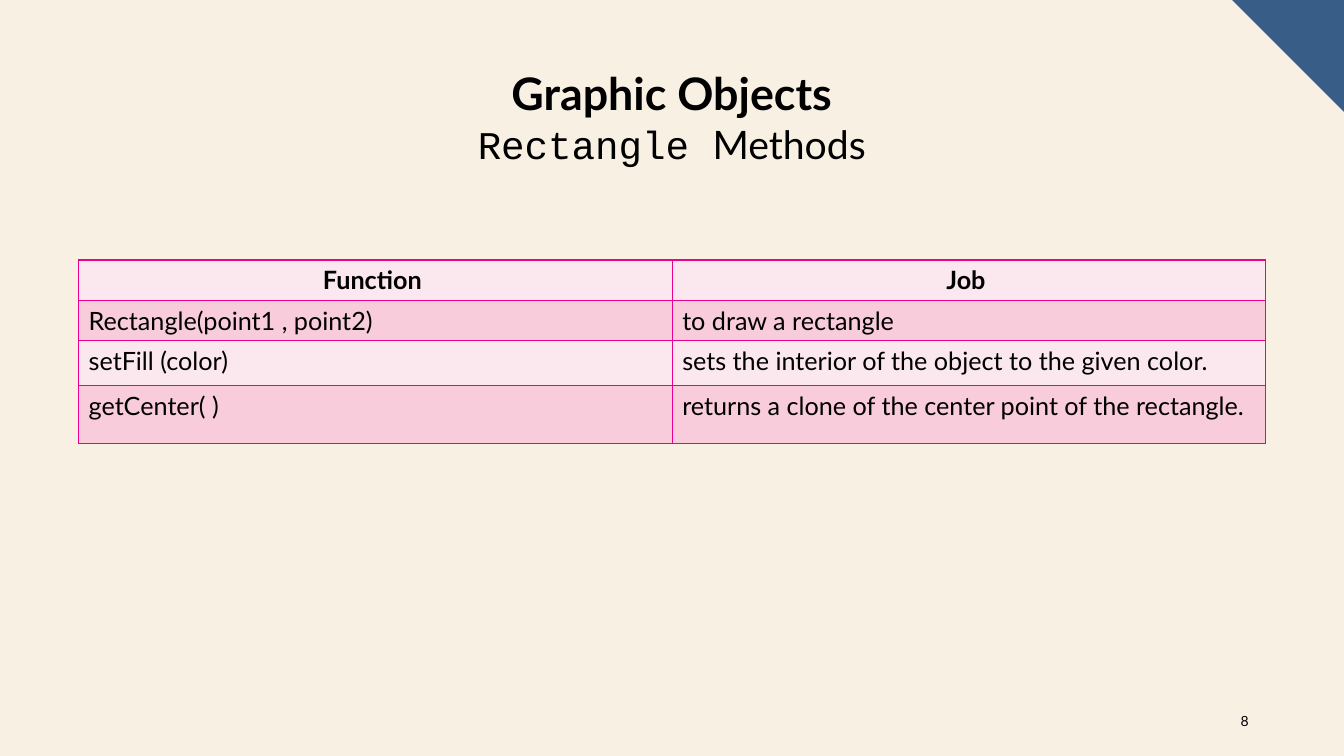
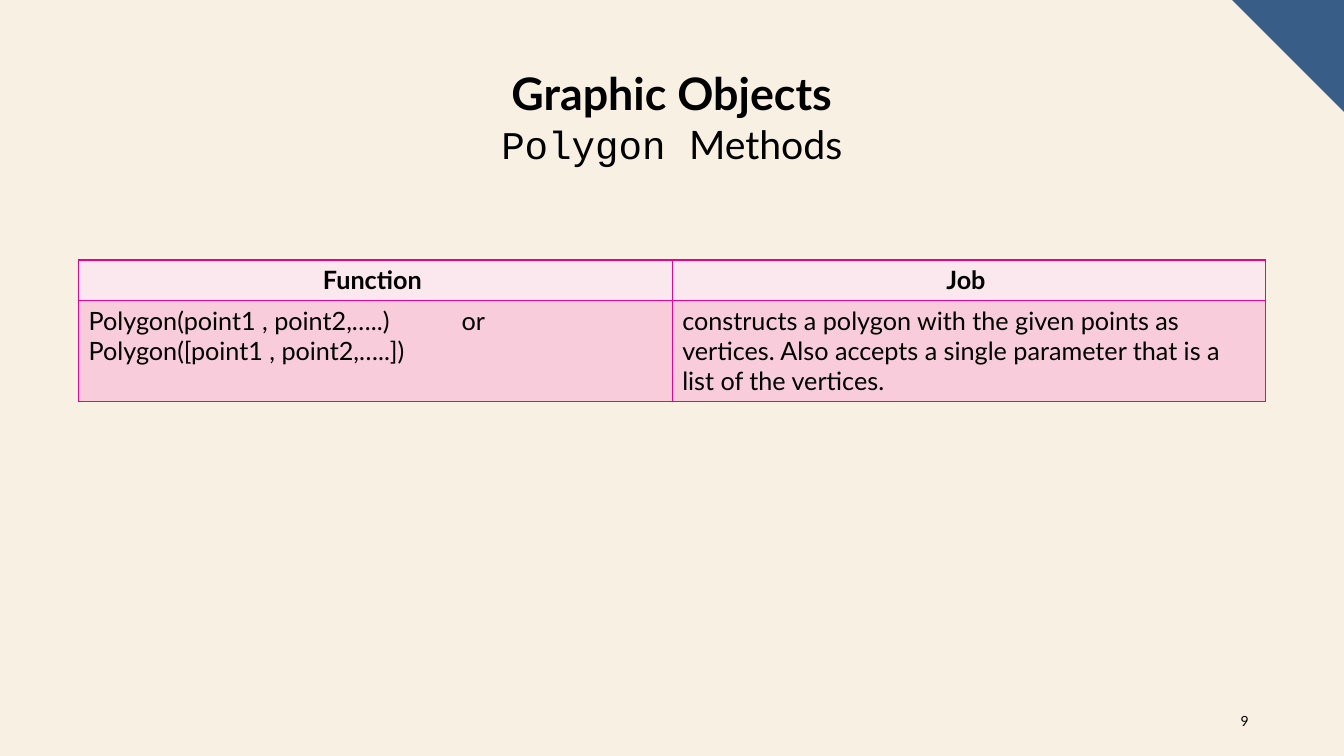
"""Builds two slides that list the methods of graphic objects."""
from lxml.etree import SubElement
from pptx import Presentation
from pptx.dml.color import RGBColor
from pptx.enum.text import MSO_ANCHOR, MSO_AUTO_SIZE, PP_ALIGN
from pptx.oxml.ns import qn
from pptx.util import Cm, Pt

CREAM = RGBColor(0xF8, 0xF0, 0xE3)
NAVY = RGBColor(0x38, 0x5E, 0x88)
MAGENTA = RGBColor(0xEC, 0x00, 0x8C)
ROW_TINTS = (RGBColor(0xFB, 0xE7, 0xEE), RGBColor(0xF8, 0xCC, 0xDA))
BLACK = RGBColor(0, 0, 0)
FONT, CODE_FONT = "Lato", "Courier New"

SLIDE_WIDTH, SLIDE_HEIGHT = Cm(33.87), Cm(19.05)
CORNER = Cm(2.82)
COLUMN_WIDTH = Cm(14.96)
TAB_STOP = Cm(9.4)
FIRST_NUMBER = 8
HEADINGS = ("Function ", "Job ")
HEADING_HEIGHT = 1.02

METHODS = {
    "Rectangle": [
        (1.02, "Rectangle(point1 , point2)", "to draw a rectangle"),
        (1.12, "setFill (color)",
         "sets the interior of the object to the given color."),
        (1.47, "getCenter( )",
         "returns a clone of the center point of the rectangle."),
    ],
    "Polygon": [
        (2.54, "Polygon(point1 , point2,…..)\tor\nPolygon([point1 , point2,…..])",
         "constructs a polygon with the given points as vertices. "
         "Also accepts a single parameter that is a list of the vertices."),
    ],
}


def style(font, size, bold=False, name=FONT):
    font.name, font.size, font.bold = name, Pt(size), bold
    font.color.rgb = BLACK


def prepare_layout(prs):
    layout = prs.slide_layouts.get_by_name("Title Only")
    prs.slide_master.background.fill.solid()
    prs.slide_master.background.fill.fore_color.rgb = CREAM
    title = layout.placeholders[0]
    title.left, title.top = Cm(5.41), Cm(2.21)
    title.width, title.height = Cm(23.04), Cm(1.45)
    title.text_frame.auto_size = MSO_AUTO_SIZE.NONE
    title.text_frame.vertical_anchor = MSO_ANCHOR.MIDDLE
    return layout


def add_corner(slide):
    """Draws the corner triangle and moves it to the shared layout."""
    outline = slide.shapes.build_freeform(SLIDE_WIDTH - CORNER, 0)
    outline.add_line_segments([(SLIDE_WIDTH, 0), (SLIDE_WIDTH, CORNER)])
    corner = outline.convert_to_shape()
    corner.shadow.inherit = False
    corner.fill.solid()
    corner.fill.fore_color.rgb = NAVY
    corner.line.fill.background()
    slide.slide_layout.shapes.element.append(corner.element)


def add_title(slide, class_name):
    frame = slide.shapes.title.text_frame
    frame.text = f"Graphic Objects\n{class_name} "
    topic, subtitle = frame.paragraphs
    topic.alignment = subtitle.alignment = PP_ALIGN.CENTER
    style(topic.runs[0].font, 32, bold=True)
    style(subtitle.runs[0].font, 28, name=CODE_FONT)
    methods = subtitle.add_run()
    methods.text = "Methods"
    style(methods.font, 28)


def add_number(slide, number):
    frame = slide.shapes.add_textbox(
        Cm(30.45), Cm(17.65), Cm(1.27), Cm(1.02)).text_frame
    frame.word_wrap = True
    frame.vertical_anchor = MSO_ANCHOR.MIDDLE
    paragraph = frame.paragraphs[0]
    paragraph.text = str(number)
    paragraph.alignment = PP_ALIGN.RIGHT
    run = paragraph.runs[0]
    style(run.font, 10)
    field = SubElement(paragraph._p, qn("a:fld"), type="slidenum",
                       id="{B6F15528-21DE-4FAA-801E-634DDDAF4B2B}")
    field.extend(list(run._r))
    paragraph._p.remove(run._r)


def add_borders(cell):
    properties = cell._tc.get_or_add_tcPr()
    for side in ("lnL", "lnR", "lnT", "lnB"):
        line = SubElement(properties, qn(f"a:{side}"), w=str(Pt(1)))
        fill = SubElement(line, qn("a:solidFill"))
        SubElement(fill, qn("a:srgbClr"), val=str(MAGENTA))


def fill_cell(cell, text, tint, heading):
    cell.text_frame.text = text
    for paragraph in cell.text_frame.paragraphs:
        if "\t" in paragraph.text:
            tabs = SubElement(paragraph._p.get_or_add_pPr(), qn("a:tabLst"))
            SubElement(tabs, qn("a:tab"), pos=str(TAB_STOP), algn="l")
        paragraph.alignment = PP_ALIGN.CENTER if heading else PP_ALIGN.LEFT
        for run in paragraph.runs:
            style(run.font, 18, bold=heading)
    add_borders(cell)
    cell.fill.solid()
    cell.fill.fore_color.rgb = tint


def add_methods_table(slide, methods):
    rows = [(HEADING_HEIGHT, *HEADINGS), *methods]
    table = slide.shapes.add_table(
        len(rows), len(HEADINGS), Cm(1.98), Cm(6.55),
        COLUMN_WIDTH * len(HEADINGS), Cm(sum(row[0] for row in rows))).table
    for column in table.columns:
        column.width = COLUMN_WIDTH
    for index, (height, *texts) in enumerate(rows):
        table.rows[index].height = Cm(height)
        for cell, text in zip(table.rows[index].cells, texts):
            fill_cell(cell, text, ROW_TINTS[index % 2], heading=index == 0)


def main():
    prs = Presentation()
    prs.slide_width, prs.slide_height = SLIDE_WIDTH, SLIDE_HEIGHT
    prs.element.set("firstSlideNum", str(FIRST_NUMBER))
    layout = prepare_layout(prs)
    for number, (class_name, methods) in enumerate(METHODS.items(), FIRST_NUMBER):
        slide = prs.slides.add_slide(layout)
        if number == FIRST_NUMBER:
            add_corner(slide)
        add_number(slide, number)
        add_methods_table(slide, methods)
        add_title(slide, class_name)
    prs.save("out.pptx")


if __name__ == "__main__":
    main()
